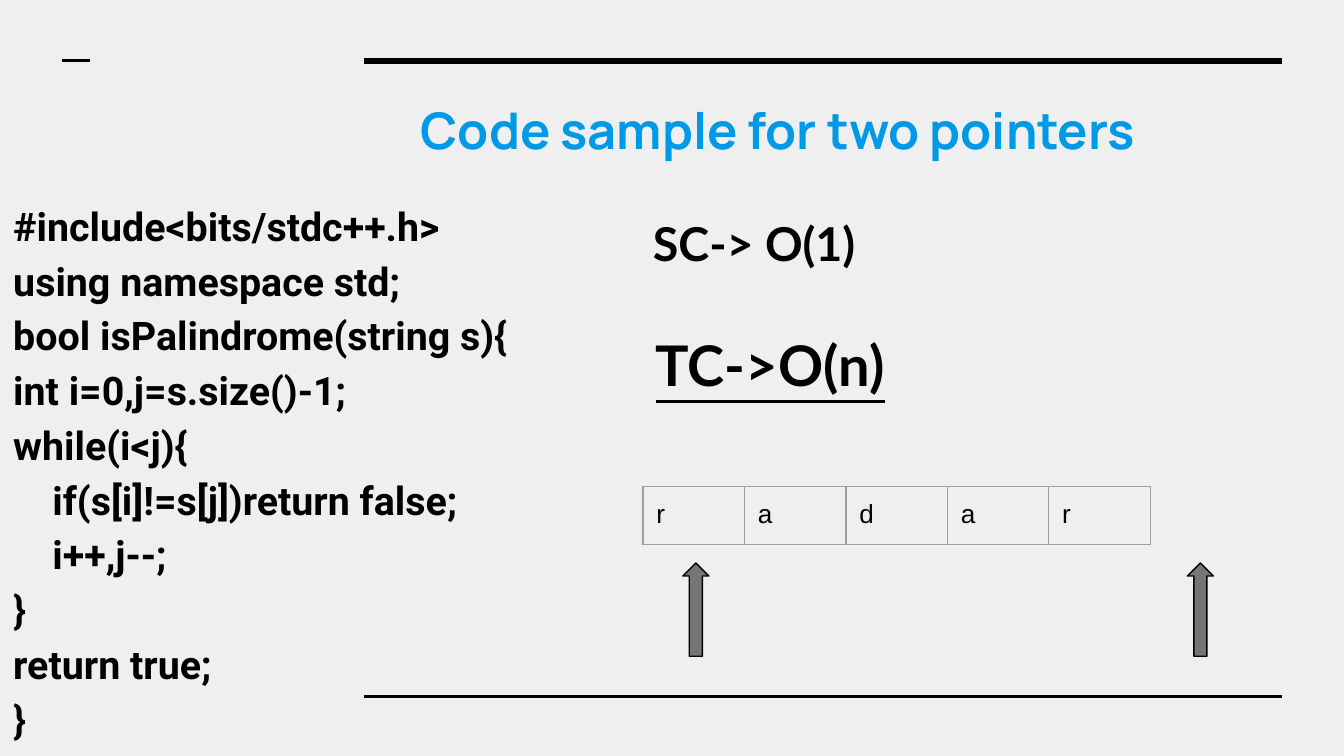
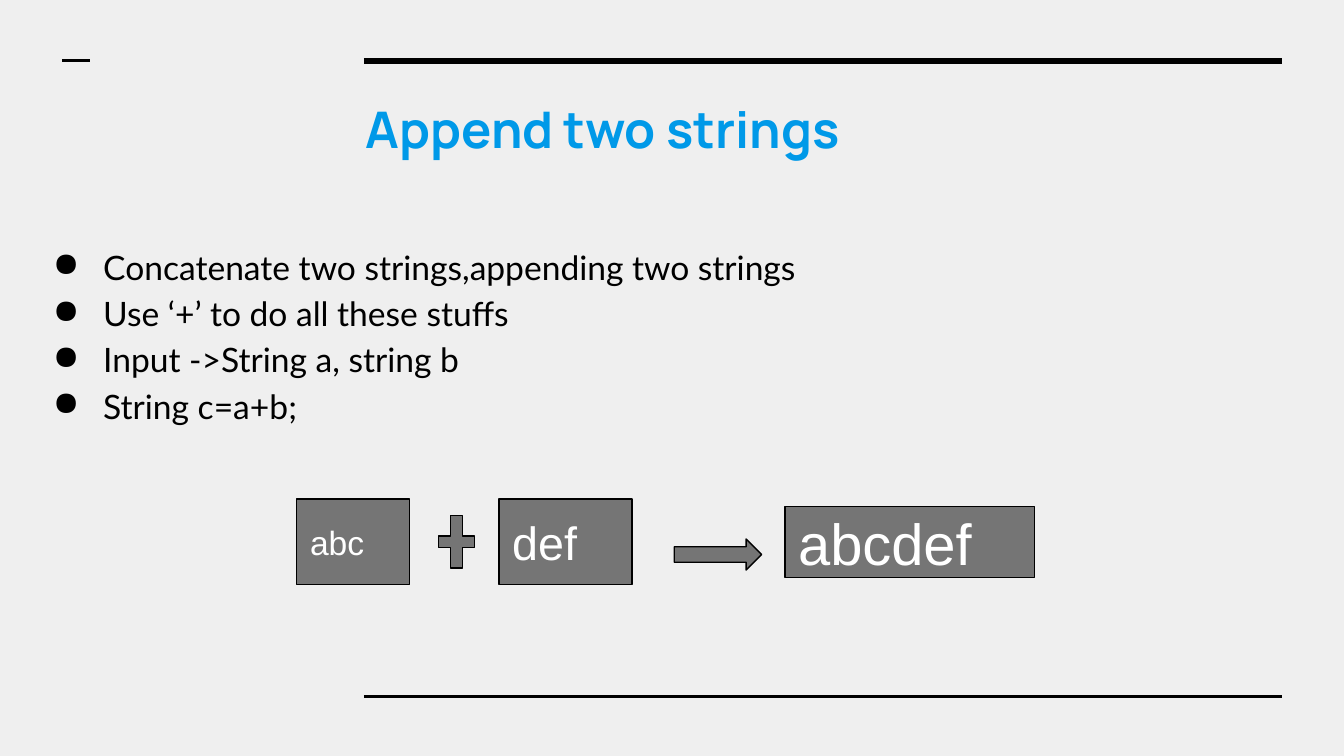
"""Builds two slides on string handling: a two-pointer palindrome check and string appending."""
from lxml import etree
from pptx import Presentation
from pptx.dml.color import RGBColor
from pptx.enum import shapes, text
from pptx.oxml import ns
from pptx.util import Pt

BLACK, WHITE, BLUE = "000000", "FFFFFF", "0099E8"
PAPER, GREY, RULE_GREY = "EFEFEF", "757575", "9E9E9E"


def color(code):
    return RGBColor.from_string(code)


def write(frame, lines, size=18, font="Lato", ink=BLACK, bold=False, underline=False,
          spacing=1.0, indents=None, bullet=None, anchor=text.MSO_ANCHOR.TOP):
    frame.word_wrap = True
    frame.vertical_anchor = anchor
    frame.margin_left = frame.margin_right = frame.margin_top = frame.margin_bottom = Pt(7.2)
    for number, line in enumerate(lines):
        paragraph = frame.paragraphs[0] if number == 0 else frame.add_paragraph()
        paragraph.alignment = text.PP_ALIGN.LEFT
        paragraph.line_spacing = spacing
        run = paragraph.add_run()
        run.text = line
        run.font.size = Pt(size)
        run.font.name = font
        run.font.bold = bold
        run.font.underline = underline
        run.font.color.rgb = color(ink)
        properties = paragraph._p.get_or_add_pPr()
        if indents:
            properties.set("marL", str(Pt(indents[number])))
        if bullet:
            properties.set("marL", str(Pt(36)))
            properties.set("indent", str(Pt(-27)))
            bullet_color = etree.SubElement(properties, ns.qn("a:buClr"))
            etree.SubElement(bullet_color, ns.qn("a:srgbClr"), val=ink)
            etree.SubElement(properties, ns.qn("a:buChar"), char=bullet)


prs = Presentation()
prs.slide_width, prs.slide_height = Pt(720), Pt(405)
background = prs.slide_master.background.fill
background.solid()
background.fore_color.rgb = color(PAPER)

pointers = prs.slides.add_slide(prs.slide_layouts[6])
append = prs.slides.add_slide(prs.slide_layouts[6])

for slide in (pointers, append):
    for start, end, height, weight in ((195, 687, 32.6, 3), (195, 687, 373, 1.5), (33.5, 48, 32.6, 1.5)):
        rule = slide.shapes.add_connector(shapes.MSO_CONNECTOR.STRAIGHT, Pt(start), Pt(height), Pt(end), Pt(height))
        rule.line.color.rgb = color(BLACK)
        rule.line.width = Pt(weight)
        etree.SubElement(rule._element.spPr, ns.qn("a:effectLst"))

code = [
    "#include<bits/stdc++.h>",
    "using namespace std;",
    "bool isPalindrome(string s){",
    "int i=0,j=s.size()-1;",
    "while(i<j){",
    "if(s[i]!=s[j])return false;",
    "i++,j--;",
    "}",
    "return true;",
    "}",
]
steps = [
    "Concatenate two strings,appending two strings",
    "Use ‘+’ to do all these stuffs",
    "Input ->String a, string b",
    "String c=a+b;",
]
title_style = dict(size=27, font="Manrope", ink=BLUE, bold=True)
code_style = dict(size=21.1, font="Roboto", bold=True, spacing=1.16,
                  indents=[21 if line.startswith(("if", "i++")) else 0 for line in code])

for slide, box, lines, style in (
    (pointers, (143.3, 46, 497.5, 49.7), ["Code sample for two pointers"], dict(title_style, indents=[75])),
    (pointers, (0, 97, 497.5, 225), code, code_style),
    (pointers, (344.2, 170, 188.6, 51), ["TC->O(n)"], dict(size=30, bold=True, underline=True)),
    (pointers, (342.7, 108, 242, 44.6), ["SC-> O(1)"], dict(size=25, bold=True)),
    (append, (188.9, 45.2, 497.5, 49.7), ["Append two strings"], title_style),
    (append, (12.2, 121.7, 497.5, 155), steps, dict(spacing=1.15, bullet="●")),
):
    write(slide.shapes.add_textbox(*map(Pt, box)).text_frame, lines, **style)

letters = "radar"
word = pointers.shapes.add_table(1, len(letters), Pt(344.5), Pt(260.6), Pt(271.75), Pt(31)).table
word.first_row = word.horz_banding = False
word.rows[0].height = Pt(31)
for column, letter in enumerate(letters):
    word.columns[column].width = Pt(54.35)
    cell = word.cell(0, column)
    cell.margin_left = cell.margin_right = cell.margin_top = cell.margin_bottom = Pt(7.2)
    write(cell.text_frame, [letter], size=14, font="Arial")
    cell_properties = cell._tc.get_or_add_tcPr()
    for side in ("lnL", "lnR", "lnT", "lnB"):
        border = etree.SubElement(cell_properties, ns.qn("a:" + side), w=str(Pt(0.75)))
        border_fill = etree.SubElement(border, ns.qn("a:solidFill"))
        etree.SubElement(border_fill, ns.qn("a:srgbClr"), val=RULE_GREY)
    cell.fill.background()

preset = shapes.MSO_SHAPE
for slide, kind, box, adjustments, label, size in (
    (pointers, preset.UP_ARROW, (365.8, 301.6, 14, 50), (0.5, 0.5), "", 0),
    (pointers, preset.UP_ARROW, (636.1, 301.6, 14, 50), (0.5, 0.5), "", 0),
    (append, preset.RECTANGLE, (159, 267.3, 60.3, 45.8), (), "abc", 18),
    (append, preset.RECTANGLE, (267.3, 267.3, 71.3, 45.8), (), "def", 25),
    (append, preset.RIGHT_ARROW, (361.2, 288.8, 46.8, 16.6), (0.5, 0.5), "", 0),
    (append, preset.RECTANGLE, (420.5, 271.3, 133.7, 38), (), "abcdef", 31),
    (append, preset.MATH_PLUS, (231.3, 271.3, 26.6, 38), (0.235,), "", 0),
):
    block = slide.shapes.add_shape(kind, *map(Pt, box))
    block.shadow.inherit = False
    block.fill.solid()
    block.fill.fore_color.rgb = color(GREY)
    block.line.color.rgb = color(BLACK)
    block.line.width = Pt(0.75)
    for index, value in enumerate(adjustments):
        block.adjustments[index] = value
    if label:
        write(block.text_frame, [label], size=size, font="Arial", ink=WHITE, anchor=text.MSO_ANCHOR.MIDDLE)

prs.save("out.pptx")
